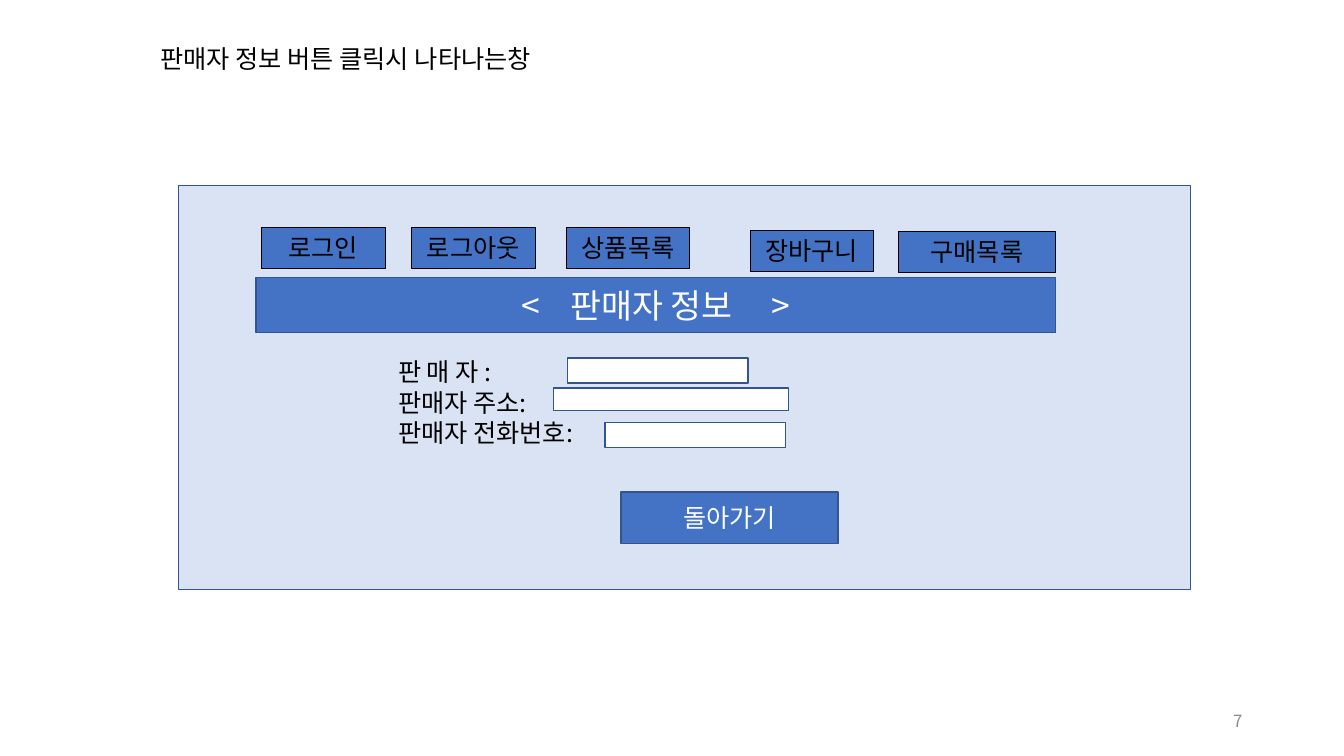
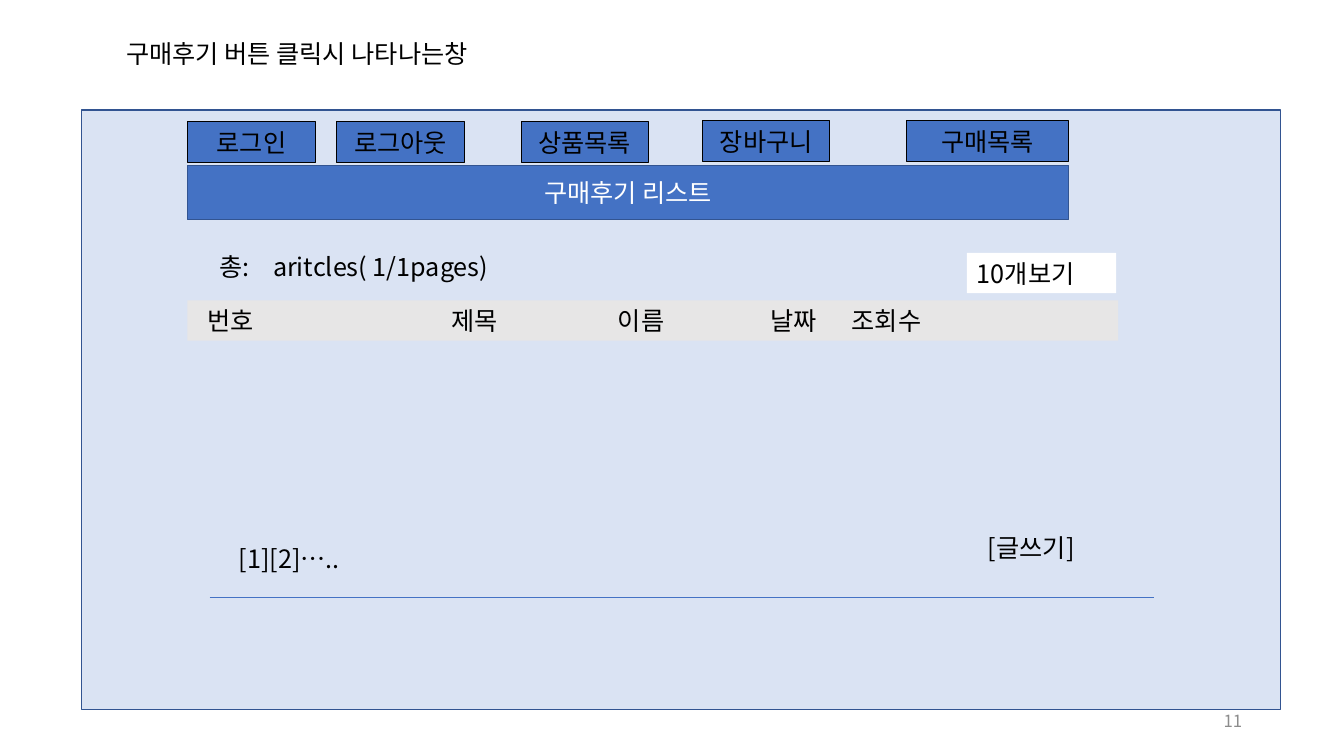
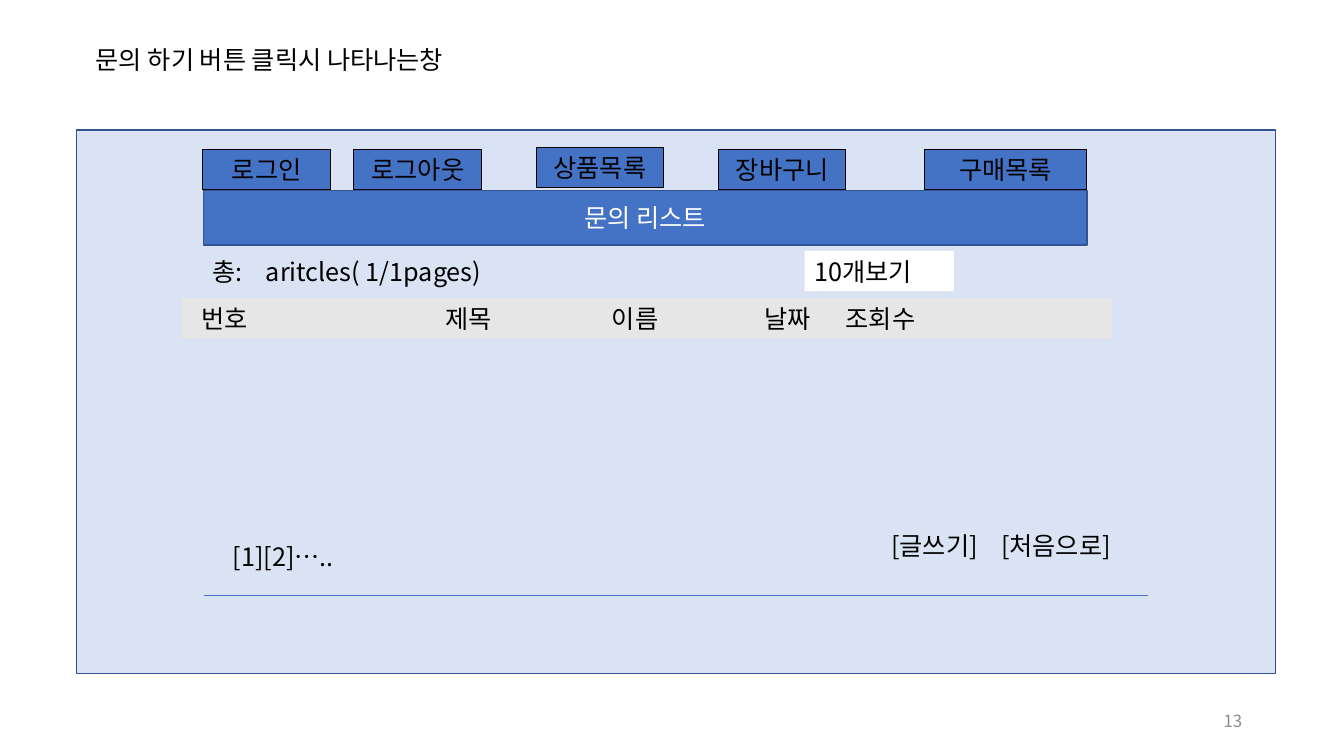
from lxml.etree import SubElement
from pptx import Presentation
from pptx.dml.color import RGBColor as RGB
from pptx.enum.shapes import MSO_CONNECTOR as Line, MSO_SHAPE as Shape
from pptx.enum.text import MSO_ANCHOR as Anchor, PP_ALIGN as Align
from pptx.oxml.ns import qn
from pptx.util import Inches, Pt

# Shared style
FONT = "Noto Sans CJK KR"
BLUE, NAVY, PALE = RGB(0x44, 0x72, 0xC4), RGB(0x32, 0x54, 0x91), RGB(0xDA, 0xE3, 0xF3)
BLACK, WHITE = RGB(0, 0, 0), RGB(0xFF, 0xFF, 0xFF)
GRAY, SILVER = RGB(0x8C, 0x8C, 0x8C), RGB(0xE7, 0xE6, 0xE6)
ROW = 0.4

# Content: menu entries are (left, top), boxes are (left, top, width, height)
MENU = ["로그인", "로그아웃", "상품목록", "장바구니", "구매목록"]
COLS = "\t번호\t제목\t이름\t날짜\t조회수"
STOPS = [0.1, 2.52, 4.17, 5.68, 6.49]

SELLER = {
    "title": ("판매자 정보 버튼 클릭시 나타나는창", (1.49, 0.38, 8.7, ROW)),
    "panel": (1.77, 1.84, 10.04, 4.01),
    "band": ("\t<\t판매자 정보\t>", (2.54, 2.75, 7.93, 0.55)),
    "menu": [(2.59, 2.26), (4.08, 2.26), (5.62, 2.26), (7.44, 2.29), (8.91, 2.3)],
    "wide": (1.23, 1.23, 1.22, 1.22, 1.56),
    "page": "7",
}
LABELS = ["판 매 자 :", "판매자 주소:", "판매자 전화번호:"]
FIELDS = [(5.63, 3.55, 1.79, 0.25), (5.49, 3.85, 2.33, 0.22), (6, 4.19, 1.79, 0.25)]

WIDE = (1.27, 1.27, 1.26, 1.26, 1.61)
LISTS = [
    {
        "title": ("구매후기 버튼 클릭시 나타나는창", (1.15, 0.33, 8.37, ROW)),
        "panel": (0.81, 1.09, 11.89, 5.95),
        "band": ("구매후기 리스트", (1.86, 1.64, 8.74, 0.54)),
        "menu": [(1.86, 1.21), (3.34, 1.21), (5.17, 1.21), (6.97, 1.2), (8.99, 1.2)],
        "wide": WIDE,
        "page": "11",
        "total": (2.08, 2.44),
        "view": (9.59, 2.51),
        "table": (1.86, 2.98),
        "links": ("\t[글쓰기]", [0.9]),
    },
    {
        "title": ("문의 하기 버튼 클릭시 나타나는창", (0.85, 0.39, 9.51, ROW)),
        "panel": (0.76, 1.29, 11.89, 5.39),
        "band": ("문의 리스트", (2.02, 1.89, 8.76, 0.54)),
        "menu": [(2.01, 1.48), (3.51, 1.48), (5.32, 1.46), (7.13, 1.48), (9.17, 1.48)],
        "wide": WIDE,
        "page": "13",
        "total": (2.01, 2.49),
        "view": (7.98, 2.49),
        "table": (1.8, 2.96),
        "links": ("[글쓰기]\t[처음으로]", [1.09]),
    },
]


def write(shape, text, color=BLACK, size=18, align=Align.LEFT, anchor=Anchor.TOP, stops=()):
    frame = shape.text_frame
    frame.word_wrap = True
    frame.vertical_anchor = anchor
    frame.text = text
    for para in frame.paragraphs:
        para.alignment = align
        if stops:
            tabs = SubElement(para._p.get_or_add_pPr(), qn("a:tabLst"))
            for stop in stops:
                SubElement(tabs, qn("a:tab"), pos=str(Inches(stop)), algn="l")
        font = para.font
        font.size = Pt(size)
        font.color.rgb = color
        font.name = FONT
        SubElement(font._element, qn("a:ea"), typeface=FONT)


def label(slide, box, text, **style):
    write(slide.shapes.add_textbox(*map(Inches, box)), text, **style)


def rect(slide, box, fill, line=None, weight=1):
    shape = slide.shapes.add_shape(Shape.RECTANGLE, *map(Inches, box))
    shape.shadow.inherit = False
    shape.fill.solid()
    shape.fill.fore_color.rgb = fill
    if line is None:
        shape.line.fill.background()
    else:
        shape.line.color.rgb = line
        shape.line.width = Pt(weight)
    return shape


def frame(deck, data):
    """Title, panel, band, menu and page number."""
    slide = deck.slides.add_slide(deck.slide_layouts[5])
    text, box = data["title"]
    title = slide.shapes.title
    title.left, title.top, title.width, title.height = map(Inches, box)
    write(title, text)
    rect(slide, data["panel"], PALE, NAVY)

    text, box = data["band"]
    band = rect(slide, box, BLUE, NAVY)
    if "\t" in text:
        write(band, text, WHITE, 24, anchor=Anchor.MIDDLE, stops=[2.53, 3.02, 5.01])
    else:
        write(band, text, WHITE, align=Align.CENTER, anchor=Anchor.MIDDLE)

    for name, spot, wide in zip(MENU, data["menu"], data["wide"]):
        write(rect(slide, (*spot, wide, ROW), BLUE, BLACK, 0.75), name, align=Align.CENTER)
    label(slide, (9.42, 6.95, 3, ROW), data["page"], color=GRAY, size=12,
          align=Align.RIGHT, anchor=Anchor.MIDDLE)
    return slide


def seller(deck):
    slide = frame(deck, SELLER)
    label(slide, (3.85, 3.49, 5.35, 1.01), "\n".join(LABELS))
    for box in FIELDS:
        rect(slide, box, WHITE, NAVY)
    back = rect(slide, (6.16, 4.88, 2.15, 0.51), BLUE, NAVY)
    write(back, "돌아가기", WHITE, align=Align.CENTER, anchor=Anchor.MIDDLE)


def listing(deck, data):
    slide = frame(deck, data)
    # Count, page size and column heads
    label(slide, (*data["total"], 2.88, ROW), "총:\taritcles( 1/1pages)", stops=[0.53])
    write(rect(slide, (*data["view"], 1.48, ROW), WHITE), "10개보기")
    x, y = data["table"]
    write(rect(slide, (x, y, 9.23, ROW), SILVER), COLS, stops=STOPS)
    # Pager, links and closing rule
    label(slide, (x + 0.41, y + 2.36, 4.09, ROW), "[1][2]…..")
    text, stops = data["links"]
    label(slide, (x + 6.94, y + 2.25, 2.51, ROW), text, stops=stops)
    ends = (x + 0.22, y + 2.95, x + 9.59, y + 2.95)
    rule = slide.shapes.add_connector(Line.STRAIGHT, *map(Inches, ends))
    rule.line.color.rgb = BLUE
    rule.line.width = Pt(0.5)
    SubElement(rule._element.spPr, qn("a:effectLst"))


def main():
    deck = Presentation()
    deck.slide_width, deck.slide_height = Inches(13.33), Inches(7.5)
    seller(deck)
    for data in LISTS:
        listing(deck, data)
    deck.save("out.pptx")


if __name__ == "__main__":
    main()
